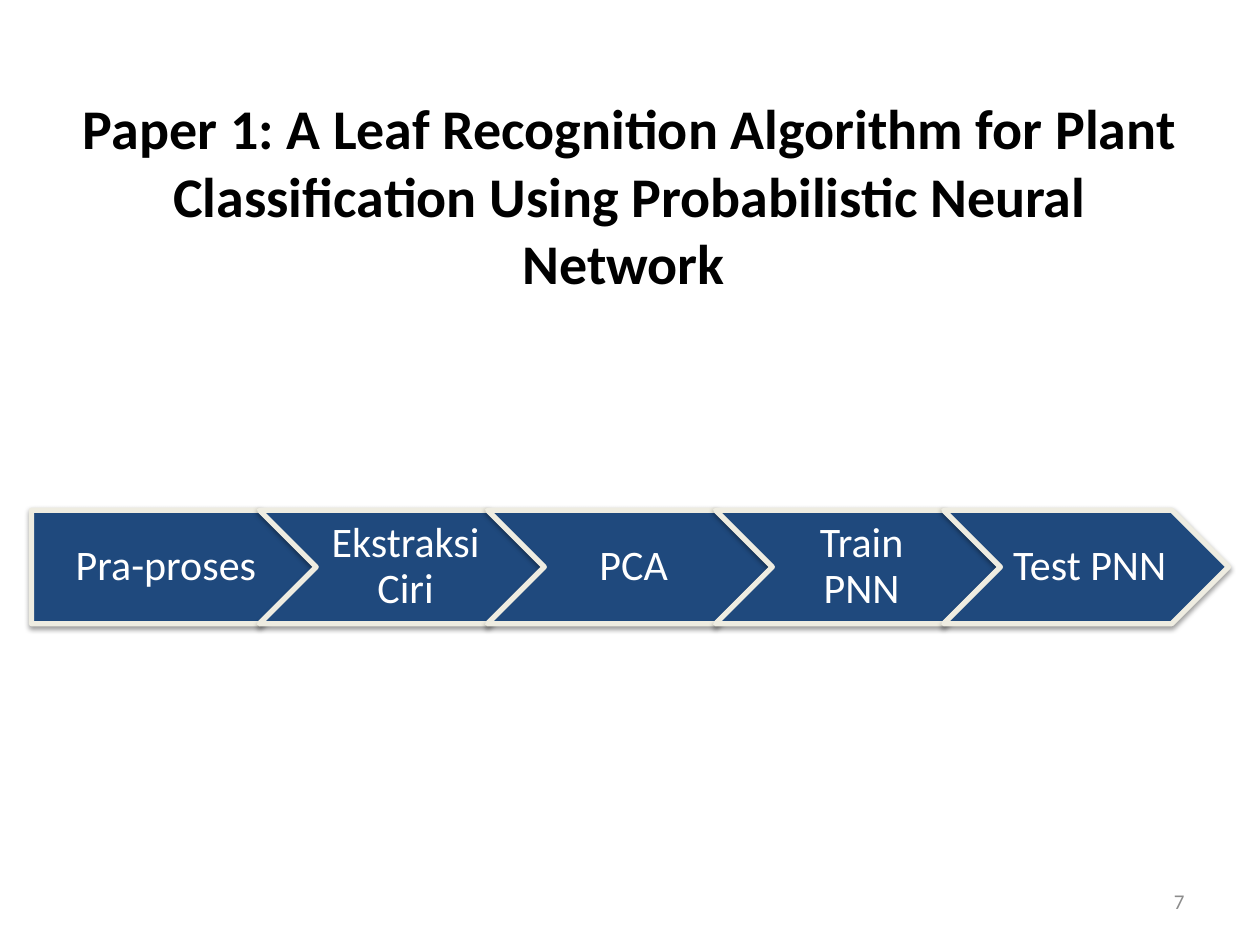
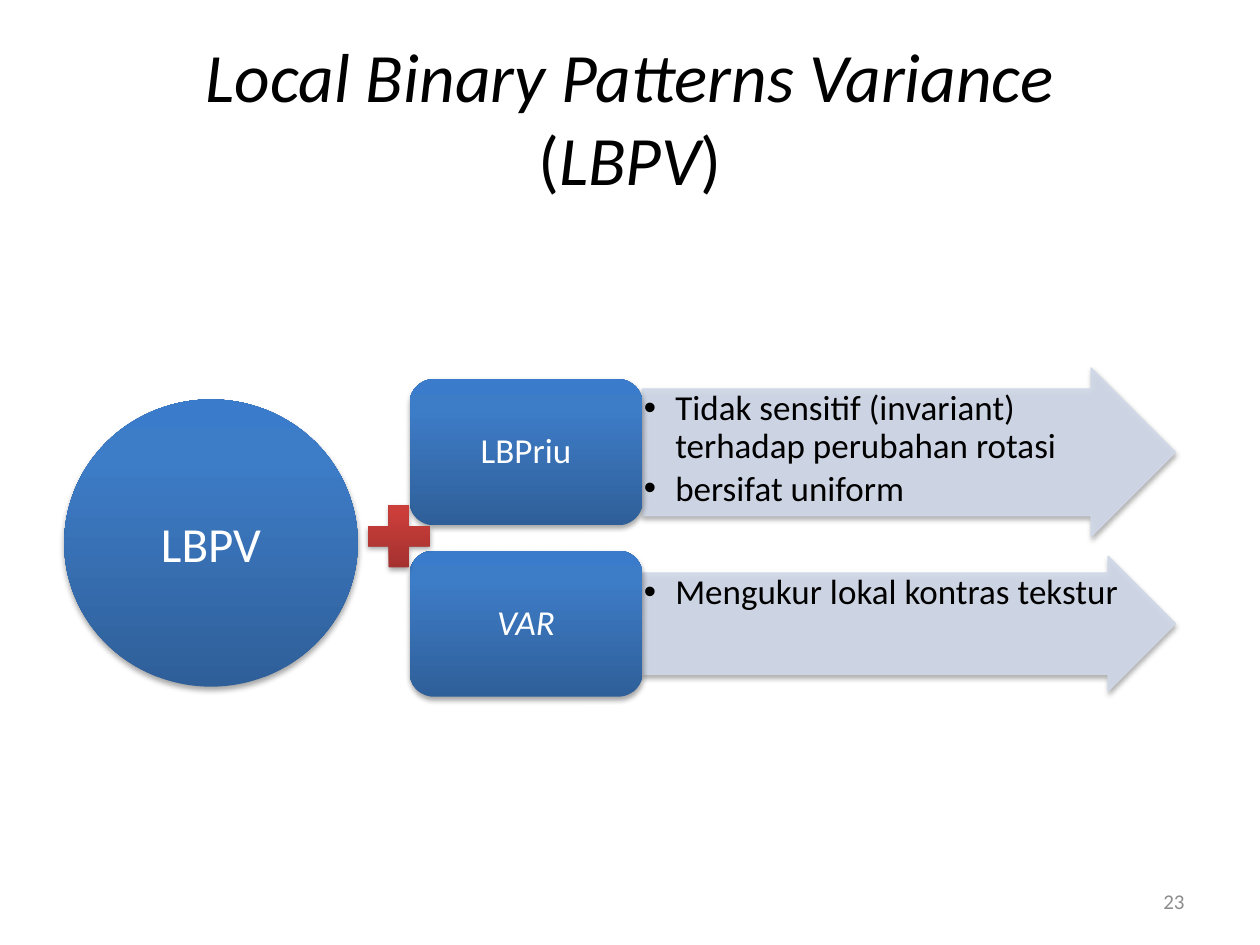
"""Build two slides on leaf recognition: a process chain and the parts of LBPV."""
from copy import deepcopy

from lxml import etree
from pptx import Presentation
from pptx.dml.color import RGBColor
from pptx.enum.shapes import MSO_SHAPE
from pptx.enum.text import MSO_ANCHOR, MSO_AUTO_SIZE, PP_ALIGN
from pptx.oxml.ns import qn
from pptx.util import Inches, Pt

CENTER, RIGHT, LEFT = PP_ALIGN.CENTER, PP_ALIGN.RIGHT, PP_ALIGN.LEFT
MIDDLE, TOP = MSO_ANCHOR.MIDDLE, MSO_ANCHOR.TOP
PENTAGON, CHEVRON = MSO_SHAPE.PENTAGON, MSO_SHAPE.CHEVRON
OVAL, PLUS = MSO_SHAPE.OVAL, MSO_SHAPE.MATH_PLUS
ROUNDED, ARROW = MSO_SHAPE.ROUNDED_RECTANGLE, MSO_SHAPE.RIGHT_ARROW
TITLE_ONLY = 5

FONT = "Calibri"
COLORS = {
    "text": "000000", "light": "FFFFFF", "number": "8C8C8C",
    "step": "1F497D", "edge": "EEECE1", "arrow": "D0D8E8", "shadow": "000000",
}
BLUE = [(0, "2F5F99"), (0.8, "3D7CC7"), (1, "3A7CCB")]
RED = [(0, "9C2F2D"), (0.8, "CB3E3A"), (1, "CE3B37")]

PAPER_TITLE = [("Paper 1: A Leaf Recognition Algorithm for Plant Classification "
                "Using Probabilistic Neural Network ", False)]
STEPS = ["Pra-proses", "Ekstraksi Ciri", "PCA", "Train PNN", "Test PNN"]
LBPV_TITLE = [("Local Binary Patterns Variance\n", True), ("(", False),
              ("LBPV", True), (")", False)]
PARTS = [
    {"name": "LBPriu", "italic": False, "arrow_height": 1.34,
     "points": ["Tidak sensitif (invariant) terhadap perubahan rotasi", "bersifat uniform"]},
    {"name": "VAR", "italic": True, "arrow_height": 1.07,
     "points": ["Mengukur lokal kontras tekstur"]},
]


def rgb(name):
    return RGBColor.from_string(COLORS[name])


def add_child(parent, tag, **attributes):
    return etree.SubElement(parent, qn(tag), attributes)


def write_text(shape, paragraphs, size, color="text", bold=False, align=CENTER,
               anchor=MIDDLE, insets=(0.1, 0.05, 0.1, 0.05), spacing=None, bullets=False):
    """Fill a shape with paragraphs, each a list of (text, italic) runs."""
    frame = shape.text_frame
    frame.word_wrap = True
    frame.auto_size = MSO_AUTO_SIZE.NONE
    frame.vertical_anchor = anchor
    frame.margin_left, frame.margin_top, frame.margin_right, frame.margin_bottom = map(Inches, insets)
    for index, runs in enumerate(paragraphs):
        paragraph = frame.add_paragraph() if index else frame.paragraphs[0]
        paragraph.alignment = align
        paragraph.line_spacing = spacing
        if bullets:
            paragraph.space_after = Pt(3)
            properties = paragraph._p.get_or_add_pPr()
            properties.set("marL", str(Inches(0.25)))
            properties.set("indent", str(-Inches(0.25)))
            add_child(properties, "a:buFont", typeface="Arial")
            add_child(properties, "a:buChar", char="•")
        for text, italic in runs:
            run = paragraph.add_run()
            run.text = text.rstrip("\n")
            run.font.name, run.font.size = FONT, Pt(size)
            run.font.bold, run.font.italic = bold, italic
            run.font.color.rgb = rgb(color)
            if text.endswith("\n"):
                paragraph.add_line_break()


def add_figure(slide, kind, box, fill=None, gradient=None, line=None, line_width=0,
               opacity=100, shadow_opacity=35, shadow_distance=1.8):
    """Add a preset shape with a solid or gradient fill and a soft shadow below."""
    shape = slide.shapes.add_shape(kind, *map(Inches, box))
    properties = shape.element.spPr
    if gradient:
        shape.fill.gradient()
        shape.fill.gradient_angle = 90
        stops = properties.find(".//" + qn("a:gsLst"))
        stops.append(deepcopy(stops[0]))
        for stop, (position, color) in zip(shape.fill.gradient_stops, gradient):
            stop.position = position
            stop.color.rgb = RGBColor.from_string(color)
    else:
        shape.fill.solid()
        shape.fill.fore_color.rgb = rgb(fill)
    if line:
        shape.line.color.rgb = rgb(line)
        shape.line.width = Pt(line_width)
    else:
        shape.line.fill.background()
    if opacity < 100:
        for color in list(properties.iter(qn("a:srgbClr"))):
            add_child(color, "a:alpha", val=str(opacity * 1000))
    shape.shadow.inherit = False
    shadow = add_child(properties.find(qn("a:effectLst")), "a:outerShdw",
                       blurRad=str(Pt(3.1)), dist=str(Pt(shadow_distance)),
                       dir="5400000", rotWithShape="0")
    color = add_child(shadow, "a:srgbClr", val=COLORS["shadow"])
    add_child(color, "a:alpha", val=str(shadow_opacity * 1000))
    return shape


def add_slide(presentation, title, number, top, size, bold=False):
    slide = presentation.slides.add_slide(presentation.slide_layouts[TITLE_ONLY])
    heading = slide.shapes.title
    heading.left, heading.top, heading.width, heading.height = map(Inches, (0.5, top, 9, 1.25))
    write_text(heading, [title], size, bold=bold)
    number_box = slide.shapes.add_textbox(*map(Inches, (7.17, 6.95, 2.33, 0.4)))
    write_text(number_box, [[(number, False)]], 12, color="number", align=RIGHT)
    return slide


def build_process(presentation):
    slide = add_slide(presentation, PAPER_TITLE, "7", top=0.92, size=32, bold=True)
    for index, name in enumerate(STEPS):
        step = add_figure(slide, CHEVRON if index else PENTAGON,
                          (0.25 + 1.81 * index, 4.05, 2.26, 0.9), fill="step",
                          line="edge", line_width=3, shadow_opacity=38, shadow_distance=1.6)
        write_text(step, [[(name, False)]], 24, color="light", spacing=0.9,
                   insets=(0.1 if index else 0.14, 0.07, 0.04, 0.07))


def build_lbpv(presentation):
    slide = add_slide(presentation, LBPV_TITLE, "23", top=0.3, size=39.6)
    circle = add_figure(slide, OVAL, (0.51, 3.17, 2.33, 2.28), gradient=BLUE)
    write_text(circle, [[("LBPV", False)]], 28, color="light")
    for index, part in enumerate(PARTS):
        middle = 3.59 + 1.36 * index
        height = part["arrow_height"]
        arrow = add_figure(slide, ARROW, (5.1, middle - height / 2, 4.23, height), fill="arrow",
                           line="arrow", line_width=0.75, opacity=90)
        arrow.adjustments[0], arrow.adjustments[1] = 0.75, 0.5
        write_text(arrow, [[(point, False)] for point in part["points"]], 20, align=LEFT,
                   anchor=TOP, insets=(0.01,) * 4, spacing=0.9, bullets=True)
        box = add_figure(slide, ROUNDED, (3.25, middle - 0.58, 1.85, 1.16), gradient=BLUE)
        write_text(box, [[(part["name"], part["italic"])]], 20, color="light",
                   insets=(0.08, 0.04, 0.08, 0.04), spacing=0.9)
    add_figure(slide, PLUS, (2.83, 3.92, 0.67, 0.67), gradient=RED)


def main():
    presentation = Presentation()
    presentation.slide_width, presentation.slide_height = Inches(10), Inches(7.5)
    build_process(presentation)
    build_lbpv(presentation)
    presentation.save("out.pptx")


if __name__ == "__main__":
    main()
